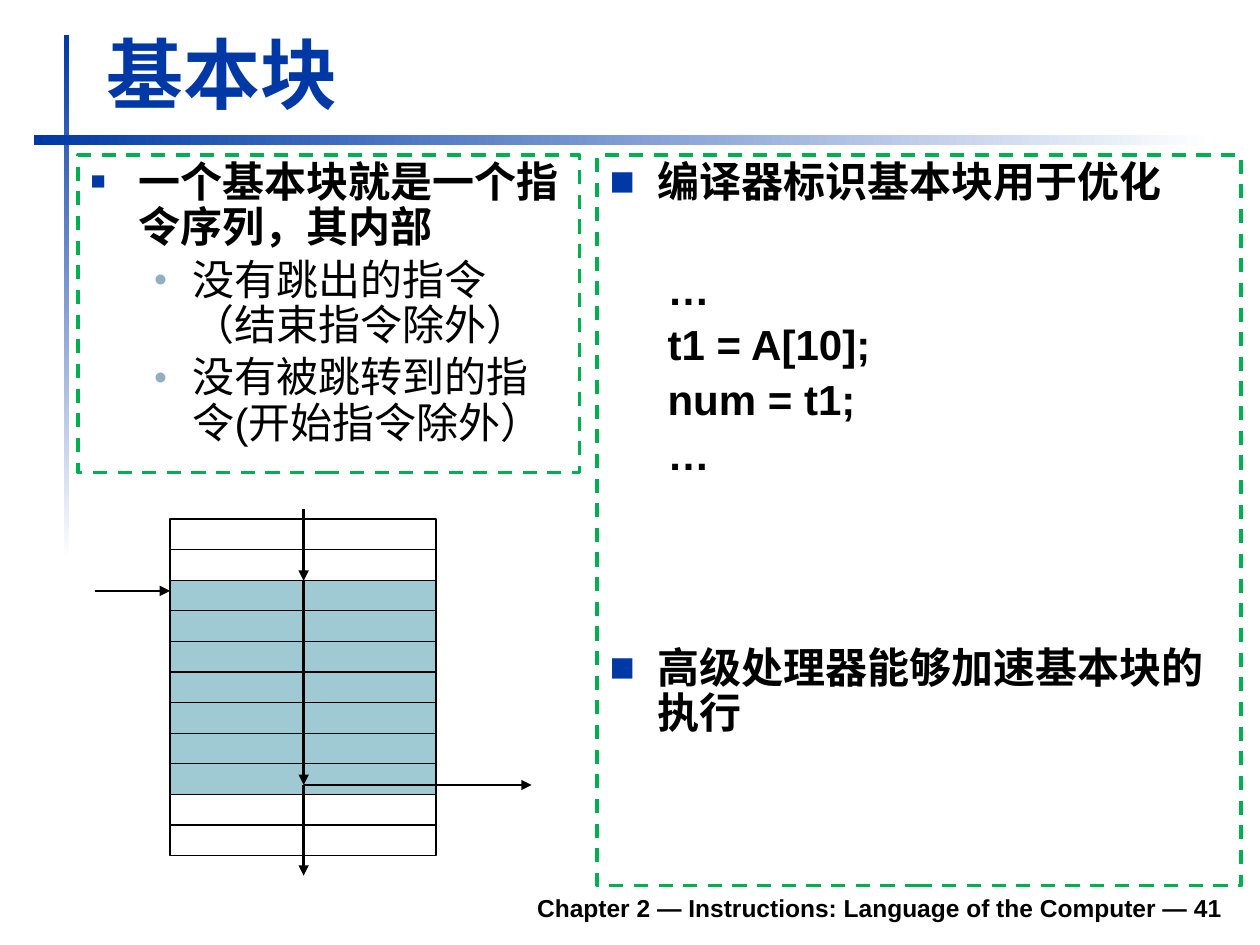
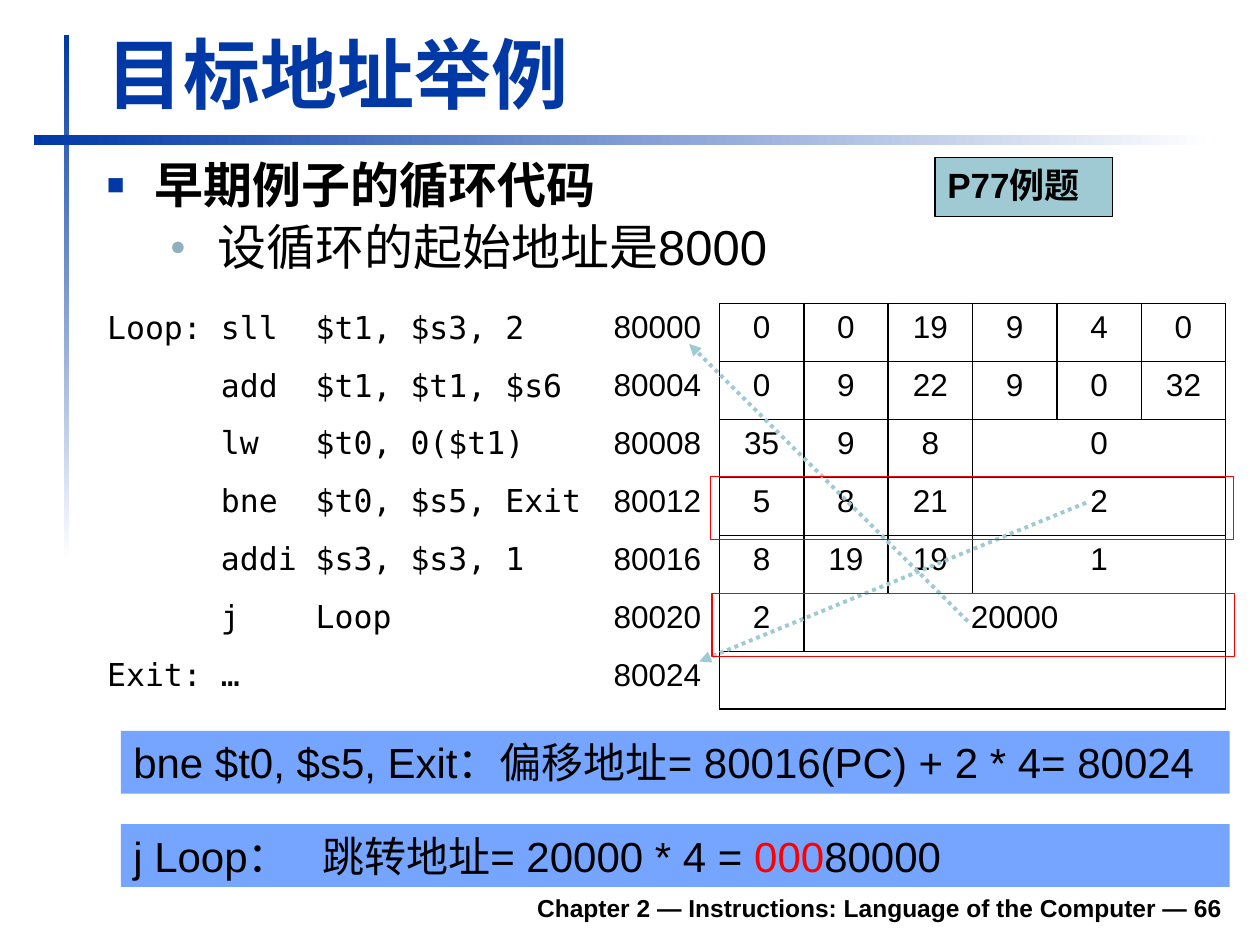
from lxml.etree import SubElement
from pptx import Presentation
from pptx.dml.color import RGBColor
from pptx.enum.dml import MSO_LINE
from pptx.enum.shapes import MSO_CONNECTOR, MSO_SHAPE
from pptx.enum.text import MSO_ANCHOR, MSO_AUTO_SIZE, PP_ALIGN
from pptx.oxml.ns import qn
from pptx.util import Inches, Pt

COLORS = {
    "navy": "0039A6", "white": "FFFFFF", "black": "000000", "green": "00B050",
    "teal": "9FCAD3", "grey_blue": "91AFBF", "sky": "75A5FF", "red": "FF0000",
}
SANS, MONO = "Arial", "DejaVu Sans Mono"
SQUARE = {"char": "■", "color": "navy", "percent": 60}
BIG_SQUARE = {**SQUARE, "percent": 100}
DOT = {"char": "●", "color": "grey_blue", "percent": 55}


def apply(target, values):
    for name, value in values.items():
        setattr(target, name, value)


def rgb(name):
    return RGBColor.from_string(COLORS[name])


def add_xml(parent, tag, **attributes):
    return SubElement(parent, qn(tag), attributes)


def add_color(parent, name):
    add_xml(parent, "a:srgbClr", val=COLORS[name])


class SlideBuilder:
    """Holds the shared style and the page being drawn."""

    def __init__(self):
        self.deck = Presentation()
        apply(self.deck, {"slide_width": Inches(10), "slide_height": Inches(7.5)})
        self.page = None

    def start(self, title, number):
        self.page = self.deck.slides.add_slide(self.deck.slide_layouts[6])
        self.gradient_bar((0.51, 0.28, 0.04, 4.17), 270)
        self.gradient_bar((0.27, 1.07, 9.37, 0.08), 0)
        footer = f"Chapter 2 — Instructions: Language of the Computer — {number}"
        self.text((1.85, 6.98, 7.95, 0.39),
                  [{"text": footer, "size": 14, "bold": True, "align": PP_ALIGN.RIGHT}],
                  vertical_anchor=MSO_ANCHOR.BOTTOM)
        self.text((0.75, 0.16, 9.03, 0.83),
                  [{"text": title, "size": 44, "bold": True, "color": "navy"}],
                  vertical_anchor=MSO_ANCHOR.BOTTOM,
                  auto_size=MSO_AUTO_SIZE.SHAPE_TO_FIT_TEXT)

    def gradient_bar(self, place, angle):
        bar = self.box(place)
        bar.fill.gradient()
        bar.fill.gradient_angle = angle
        for stop, name, position in zip(bar.fill.gradient_stops, ("navy", "white"), (0, 1)):
            stop.color.rgb = rgb(name)
            stop.position = position

    def box(self, place, fill=None, line=None, width=0.75, dash=None):
        box = self.page.shapes.add_shape(MSO_SHAPE.RECTANGLE, *map(Inches, place))
        box.shadow.inherit = False
        if fill:
            box.fill.solid()
            box.fill.fore_color.rgb = rgb(fill)
        else:
            box.fill.background()
        if line:
            box.line.color.rgb = rgb(line)
            apply(box.line, {"width": Pt(width), "dash_style": dash})
        else:
            box.line.fill.background()
        return box

    def text(self, place, paragraphs, **frame_values):
        box = self.page.shapes.add_textbox(*map(Inches, place))
        self.fill_frame(box.text_frame, paragraphs, **frame_values)

    def fill_frame(self, frame, paragraphs, **frame_values):
        apply(frame, {"word_wrap": True, "vertical_anchor": MSO_ANCHOR.TOP, **frame_values})
        for index, values in enumerate(paragraphs):
            para = frame.add_paragraph() if index else frame.paragraphs[0]
            self.fill_paragraph(para, values)

    def fill_paragraph(self, para, values):
        apply(para, {"alignment": values.get("align", PP_ALIGN.LEFT),
                     "line_spacing": values.get("line", 1.0),
                     "space_before": Pt(values.get("before", 0)),
                     "level": values.get("level", 0)})
        props = para._p.get_or_add_pPr()
        props.set("marL", str(Inches(values.get("margin", 0))))
        props.set("indent", str(Inches(values.get("indent", 0))))
        bullet = values.get("bullet")
        if bullet:
            add_color(add_xml(props, "a:buClr"), bullet["color"])
            add_xml(props, "a:buSzPct", val=str(bullet["percent"] * 1000))
            add_xml(props, "a:buFont", typeface=SANS)
            add_xml(props, "a:buChar", char=bullet["char"])
        else:
            add_xml(props, "a:buNone")
        if "tab" in values:
            add_xml(add_xml(props, "a:tabLst"), "a:tab",
                    pos=str(Inches(values["tab"])), algn="l")
        color = values.get("color", "black")
        for words, span_color in values.get("spans") or [(values["text"], color)]:
            span = para.add_run()
            span.text = words
            apply(span.font, {"name": values.get("font", SANS), "size": Pt(values["size"]),
                              "bold": values.get("bold", False)})
            span.font.color.rgb = rgb(span_color)

    def arrow(self, start, end, color="black", width=1.5, dash=None):
        arrow = self.page.shapes.add_connector(
            MSO_CONNECTOR.STRAIGHT, *map(Inches, (*start, *end)))
        arrow.line.color.rgb = rgb(color)
        apply(arrow.line, {"width": Pt(width), "dash_style": dash})
        props = arrow._element.spPr
        add_xml(props.get_or_add_ln(), "a:tailEnd", type="triangle")
        add_xml(props, "a:effectLst")

    def table(self, place, widths, row_count):
        frame = self.page.shapes.add_table(row_count, len(widths), *map(Inches, place))
        table = frame.table
        apply(table, {"first_row": False, "horz_banding": False})
        for column, width in zip(table.columns, widths):
            column.width = Inches(width)
        return table

    def cell(self, cell, sides):
        """Border colours run left, right, top, bottom."""
        props = cell._tc.get_or_add_tcPr()
        for side, name in zip("LRTB", sides):
            border = add_xml(props, f"a:ln{side}", w=str(Pt(1)))
            add_color(add_xml(border, "a:solidFill"), name)
        cell.fill.background()


def first_level(text, size, bullet=SQUARE, before=0):
    return {"text": text, "size": size, "bold": True, "bullet": bullet, "line": 0.9,
            "margin": 0.38, "indent": -0.38, "before": before}


def second_level(text, size, margin, indent, before):
    return {"text": text, "size": size, "bullet": DOT, "line": 0.9, "level": 1,
            "margin": margin, "indent": indent, "before": before}


def basic_blocks(builder):
    builder.start("基本块", 41)
    outline = {"line": "green", "width": 2, "dash": MSO_LINE.DASH}

    # Definition
    definition = builder.box((0.62, 1.23, 3.98, 2.52), **outline)
    builder.fill_frame(definition.text_frame, [
        first_level("一个基本块就是一个指令序列，其内部", 24),
        second_level("没有跳出的指令（结束指令除外）", 24, 0.81, -0.31, 4),
        second_level("没有被跳转到的指令(开始指令除外）", 24, 0.81, -0.31, 4),
    ])

    # Instruction stack: the basic block is the shaded part
    left, top, width, bottom, row_count = 1.35, 4.12, 2.11, 6.79, 11
    height = (bottom - top) / row_count
    for row in range(row_count):
        builder.box((left, top + row * height, width, height),
                    fill="teal" if 2 <= row <= 8 else None, line="black")

    # Control flow
    middle, entry, leave = 2.41, 4.61, 6.23
    for start, end in [((middle, 4.04), (middle, entry)),
                       ((middle, entry), (middle, leave)),
                       ((middle, leave), (middle, 6.95)),
                       ((middle, leave), (4.22, leave)),
                       ((0.75, 4.69), (left, 4.69))]:
        builder.arrow(start, end)

    # Use by the compiler and processor
    code = [("…", 36), ("t1 = A[10];", 5.5), ("num = t1;", 5.5), ("…", 5.5)]
    usage = builder.box((4.74, 1.23, 5.11, 5.8), **outline)
    builder.fill_frame(usage.text_frame, [
        first_level("编译器标识基本块用于优化", 24, BIG_SQUARE),
        *[{"text": line, "size": 24, "bold": True, "line": 0.9, "margin": 0.46,
           "before": before} for line, before in code],
        first_level("高级处理器能够加速基本块的执行", 24, BIG_SQUARE, 95.5),
    ])


def target_addresses(builder):
    builder.start("目标地址举例", 66)
    builder.text((0.75, 1.23, 9.05, 1.34), [
        first_level("早期例子的循环代码", 28),
        second_level("设循环的起始地址是8000", 28, 0.88, -0.38, 5),
    ])

    # Loop code with its machine fields; the last field takes the rest of the row
    program = [
        ("Loop: sll  $t1, $s3, 2", [0, 0, 19, 9, 4, 0]),
        ("      add  $t1, $t1, $s6", [0, 9, 22, 9, 0, 32]),
        ("      lw   $t0, 0($t1)", [35, 9, 8, 0]),
        ("      bne  $t0, $s5, Exit", [5, 8, 21, 2]),
        ("      addi $s3, $s3, 1", [8, 19, 19, 1]),
        ("      j    Loop", [2, 20000]),
        ("Exit: …", [""]),
    ]
    widths = [4.02, 0.94] + [0.67] * 6
    table = builder.table((0.75, 2.41, sum(widths), 3.23), widths, len(program))
    for row, (code, fields) in enumerate(program):
        table.rows[row].height = Inches(0.46)
        for column in range(len(widths)):
            sides = ["black" if column > 1 else "white"] * 4
            if column == 1:
                sides[1] = "black"
            builder.cell(table.cell(row, column), sides)
        last = len(fields) + 1
        if last < len(widths) - 1:
            table.cell(row, last).merge(table.cell(row, len(widths) - 1))
        for column, value in enumerate([code, 80000 + 4 * row, *fields]):
            if value == "":
                continue
            builder.fill_paragraph(table.cell(row, column).text_frame.paragraphs[0], {
                "text": str(value), "size": 18, "font": SANS if column else MONO,
                "align": PP_ALIGN.CENTER if column > 1 else PP_ALIGN.LEFT})

    # Arrows from the address fields to their targets
    for start, end in [((7.68, 4.93), (5.47, 2.73)), ((8.62, 3.99), (5.55, 5.25))]:
        builder.arrow(start, end, "teal", 2.25, MSO_LINE.ROUND_DOT)

    # Page reference and highlighted rows
    reference = builder.box((7.42, 1.25, 1.41, 0.47), "teal", "black")
    builder.fill_frame(reference.text_frame, [{"text": "P77例题", "size": 20, "bold": True}])
    for left, top in [(5.64, 3.78), (5.65, 4.71)]:
        builder.box((left, top, 4.15, 0.5), line="red")

    # Address calculations
    branch = {"text": "bne $t0, $s5, Exit：偏移地址= 80016(PC) + 2 * 4= 80024", "size": 24}
    jump = {"spans": [("j Loop：\t跳转地址= 20000 * 4 = ", "black"), ("000", "red"),
                      ("80000", "black")], "size": 24, "tab": 2.66}
    for top, formula, wrap in [(5.8, branch, False), (6.54, jump, True)]:
        band = builder.box((0.96, top, 8.8, 0.5), "sky")
        builder.fill_frame(band.text_frame, [formula], word_wrap=wrap)


def main():
    builder = SlideBuilder()
    basic_blocks(builder)
    target_addresses(builder)
    builder.deck.save("out.pptx")


if __name__ == "__main__":
    main()
